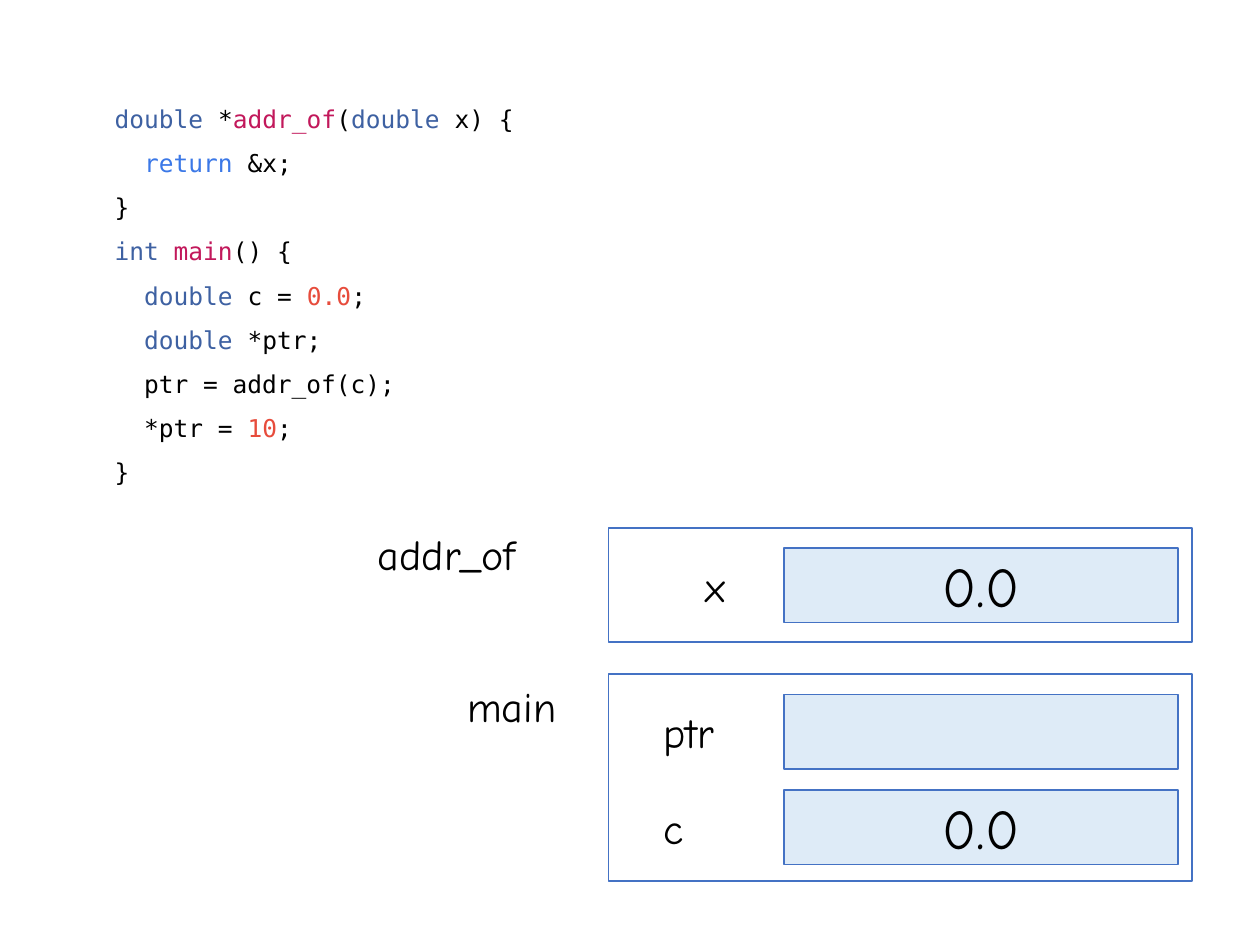
from dataclasses import dataclass

from pptx import Presentation
from pptx.dml.color import RGBColor
from pptx.enum.shapes import MSO_SHAPE
from pptx.enum.text import MSO_ANCHOR, MSO_AUTO_SIZE, PP_ALIGN
from pptx.util import Cm, Pt

CODE_FONT, LABEL_FONT = "DejaVu Sans Mono", "Comic Neue"
BLACK, WHITE, OUTLINE, CELL_FILL = "000000", "FFFFFF", "4472C4", "DEEBF7"
TYPE, FUNCTION, KEYWORD, NUMBER = "3E61A2", "C2185B", "3B78E7", "E74C3C"

FRAME_LEFT, FRAME_WIDTH = 12.27, 11.76
CELL_LEFT, CELL_WIDTH, CELL_HEIGHT = 15.8, 7.95, 1.5
CELL_MARGIN, CELL_PITCH = 0.41, 1.93
LABEL_HEIGHT = 1.27


@dataclass
class Label:
    text: str
    left: float
    width: float


@dataclass
class Variable:
    label: Label
    value: str = ""


@dataclass
class StackFrame:
    label: Label
    label_top: float
    top: float
    height: float
    variables: list[Variable]


CODE = [
    [("double", TYPE), (" *", BLACK), ("addr_of", FUNCTION), ("(", BLACK),
     ("double", TYPE), (" x) {", BLACK)],
    [("  ", BLACK), ("return", KEYWORD), (" &x;", BLACK)],
    [("}", BLACK)],
    [("int ", TYPE), ("main", FUNCTION), ("() {", BLACK)],
    [("  double", TYPE), (" c = ", BLACK), ("0.0", NUMBER), (";", BLACK)],
    [("  double", TYPE), (" *ptr;", BLACK)],
    [("  ptr = addr_of(c);", BLACK)],
    [("  *ptr = ", BLACK), ("10", NUMBER), (";", BLACK)],
    [("}", BLACK)],
]

STACK = [
    StackFrame(Label("main", 9.17, 2.92), 13.59, 13.59, 4.17, [
        Variable(Label("ptr", 13.13, 1.9)),
        Variable(Label("c", 13.13, 1.04), "0.0"),
    ]),
    StackFrame(Label("addr_of", 7.37, 4.52), 10.52, 10.64, 2.31, [
        Variable(Label("x", 13.97, 1.07), "0.0"),
    ]),
]


def rgb(color: str) -> RGBColor:
    return RGBColor.from_string(color)


def format_run(run, font: str, size: float, color: str) -> None:
    run.font.name = font
    run.font.size = Pt(size)
    run.font.color.rgb = rgb(color)


def add_text_frame(slide, left: float, top: float, width: float, height: float):
    """Add an unwrapped text box that fits its text; return its text frame."""
    box = slide.shapes.add_textbox(Cm(left), Cm(top), Cm(width), Cm(height))
    box.text_frame.word_wrap = False
    box.text_frame.auto_size = MSO_AUTO_SIZE.SHAPE_TO_FIT_TEXT
    return box.text_frame


def add_code(slide) -> None:
    text_frame = add_text_frame(slide, 2.06, 1.68, 8.56, 8.23)
    text_frame.text = "\n".join("" for _ in CODE)
    for paragraph, tokens in zip(text_frame.paragraphs, CODE):
        paragraph.line_spacing = 1.5
        for text, color in tokens:
            run = paragraph.add_run()
            run.text = text
            format_run(run, CODE_FONT, 14, color)


def add_label(slide, label: Label, top: float) -> None:
    text_frame = add_text_frame(slide, label.left, top, label.width, LABEL_HEIGHT)
    text_frame.text = label.text
    format_run(text_frame.paragraphs[0].runs[0], LABEL_FONT, 24, BLACK)


def add_box(slide, left: float, top: float, width: float, height: float,
            fill: str, text: str = "") -> None:
    shape = slide.shapes.add_shape(
        MSO_SHAPE.RECTANGLE, Cm(left), Cm(top), Cm(width), Cm(height))
    shape.shadow.inherit = False
    shape.fill.solid()
    shape.fill.fore_color.rgb = rgb(fill)
    shape.line.color.rgb = rgb(OUTLINE)
    shape.line.width = Pt(1)
    if text:
        shape.text_frame.text = text
        shape.text_frame.vertical_anchor = MSO_ANCHOR.MIDDLE
        paragraph = shape.text_frame.paragraphs[0]
        paragraph.alignment = PP_ALIGN.CENTER
        format_run(paragraph.runs[0], LABEL_FONT, 32, BLACK)


def add_stack_frame(slide, frame: StackFrame) -> None:
    add_box(slide, FRAME_LEFT, frame.top, FRAME_WIDTH, frame.height, WHITE)
    add_label(slide, frame.label, frame.label_top)
    for index, variable in enumerate(frame.variables):
        top = frame.top + CELL_MARGIN + index * CELL_PITCH
        add_box(slide, CELL_LEFT, top, CELL_WIDTH, CELL_HEIGHT,
                CELL_FILL, variable.value)
        add_label(slide, variable.label, top + 0.12)


def main() -> None:
    presentation = Presentation()
    presentation.slide_width, presentation.slide_height = Cm(25.4), Cm(19.05)
    slide = presentation.slides.add_slide(presentation.slide_layouts[6])
    add_code(slide)
    for frame in STACK:
        add_stack_frame(slide, frame)
    presentation.save("out.pptx")


if __name__ == "__main__":
    main()
